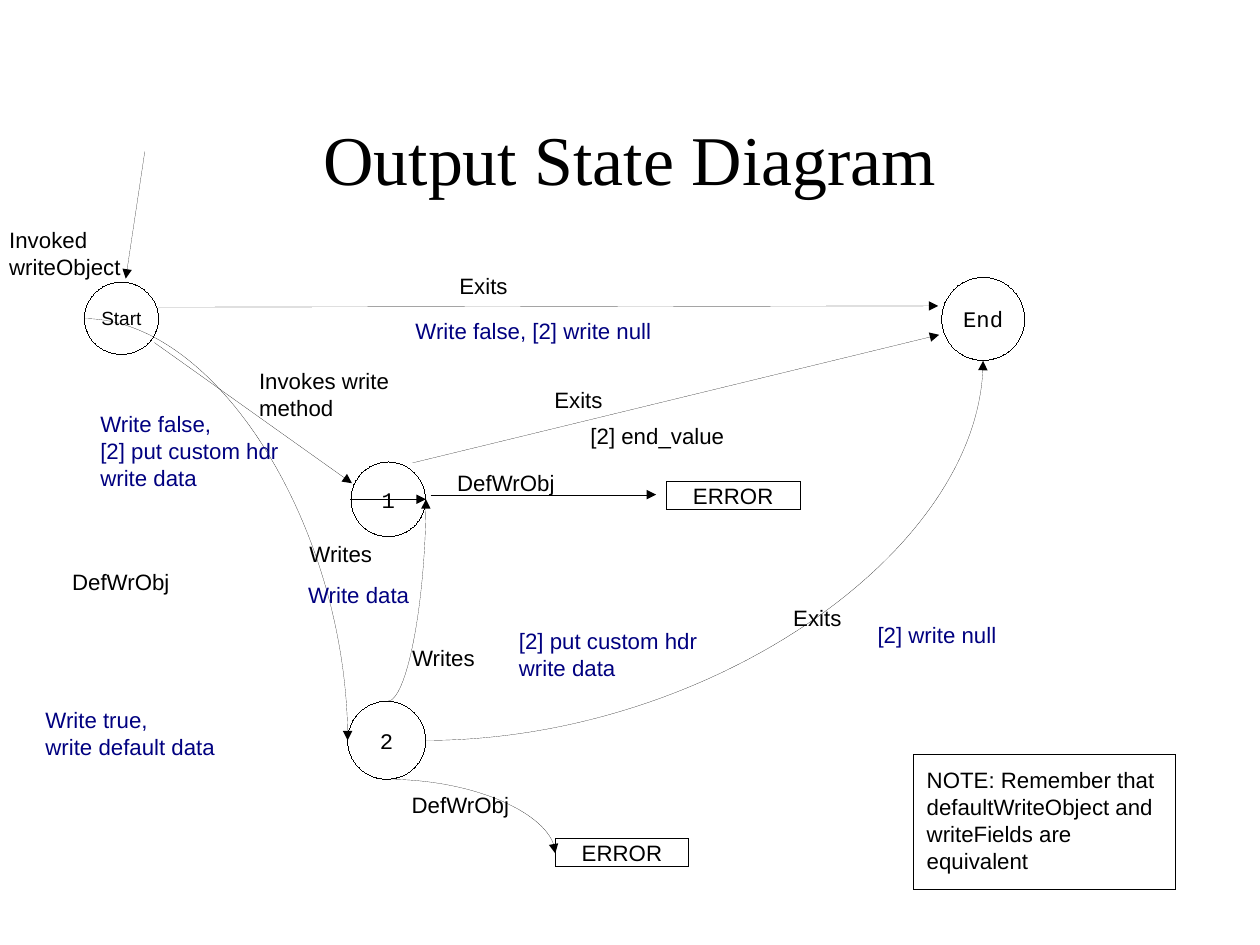
from lxml import etree
from pptx import Presentation
from pptx.dml.color import RGBColor
from pptx.enum.shapes import MSO_CONNECTOR, MSO_SHAPE
from pptx.enum.text import MSO_ANCHOR, MSO_AUTO_SIZE, PP_ALIGN
from pptx.oxml.ns import qn
from pptx.util import Pt

OVAL, RECT = MSO_SHAPE.OVAL, MSO_SHAPE.RECTANGLE
STRAIGHT, CURVE = MSO_CONNECTOR.STRAIGHT, MSO_CONNECTOR.CURVE
LEFT, CENTER = PP_ALIGN.LEFT, PP_ALIGN.CENTER
TOP, MIDDLE = MSO_ANCHOR.TOP, MSO_ANCHOR.MIDDLE
BLACK, NAVY = "000000", "000080"
SANS, MONO, SERIF = "Arial", "Courier New", "Times New Roman"
LINE_H = 17.5

# Content, in points
TITLE = "Output State Diagram"
# text, left, top, width, height, font, size
STATES = [
    ("Start", 53.1, 177.7, 46.8, 45.5, SANS, 12),
    ("End", 593.2, 174.7, 52.3, 52.3, MONO, 14),
    ("1", 221.1, 291, 47, 47, MONO, 14),
    ("2", 219, 441.7, 49.2, 49.2, MONO, 14),
]
# left, top
ERRORS = [(419.8, 303.6), (349.7, 528.5)]
NOTE = "NOTE: Remember that defaultWriteObject and writeFields are equivalent"
# start x, y, end x, y
STRAIGHT_ARROWS = [
    (91.2, 95.6, 79.2, 175.5),
    (100, 193.5, 591, 192.7),
    (97.2, 215.8, 221.7, 304.4),
    (259.8, 291.6, 591.6, 210.9),
    (271.3, 311.6, 413.3, 311.6),
]
CURVED_ARROWS = [
    (221.1, 314.5, 268.3, 314.5),
    (53.1, 200.7, 219, 466.4),
    (244, 441.8, 268.3, 314.5),
    (268.3, 466.4, 619.3, 227.3),
    (244, 490.9, 349.8, 537.6),
]
# left, top, width, colour, lines
LABELS = [
    (5.8, 142.6, 103, BLACK, ["Invoked", "writeObject"]),
    (289.4, 171.2, 135.4, BLACK, ["Exits"]),
    (261.7, 199.8, 193.7, NAVY, ["Write false, [2] write null"]),
    (163.2, 231.4, 92.9, BLACK, ["Invokes write method"]),
    (63.2, 258.6, 126.7, NAVY,
     ["Write false,", "[2] put custom hdr", "write data"]),
    (349.2, 243.3, 69.1, BLACK, ["Exits"]),
    (372, 266.1, 133.9, BLACK, ["[2] end_value"]),
    (288, 295.6, 95, BLACK, ["DefWrObj"]),
    (194.9, 340.3, 66.2, BLACK, ["Writes"]),
    (194.1, 366.2, 66.2, NAVY, ["Write data"]),
    (45.4, 357.8, 111.6, BLACK, ["DefWrObj"]),
    (28.6, 444.8, 114.5, NAVY, ["Write true,", "write default data"]),
    (259.6, 405.8, 56.2, BLACK, ["Writes"]),
    (326.9, 395.4, 126.7, NAVY, ["[2] put custom hdr", "write data"]),
    (499.7, 380.6, 62.6, BLACK, ["Exits"]),
    (552.8, 391.1, 110.9, NAVY, ["[2] write null"]),
    (259.3, 498.7, 92.2, BLACK, ["DefWrObj"]),
    (583.8, 483, 154.1, BLACK, [NOTE]),
]


def rgb(color):
    return RGBColor.from_string(color)


def write(shape, lines, font=SANS, size=14, color=BLACK, align=LEFT,
          anchor=TOP):
    tf = shape.text_frame
    tf.margin_left = tf.margin_right = tf.margin_top = tf.margin_bottom = 0
    tf.auto_size = MSO_AUTO_SIZE.NONE
    tf.word_wrap = True
    tf.vertical_anchor = anchor
    tf.text = "\n".join(lines)
    for p in tf.paragraphs:
        p.alignment = align
        p.font.name, p.font.size = font, Pt(size)
        p.font.color.rgb = rgb(color)


def hairline(line):
    line.color.rgb = rgb(BLACK)
    line.width = Pt(0.01)  # a width of zero would fall back to the theme's


def outline(kind, *box):
    sp = s.shapes.add_shape(kind, *map(Pt, box))
    sp.shadow.inherit = False
    sp.fill.background()
    hairline(sp.line)
    return sp


def arrow(kind, *ends):
    cxn = s.shapes.add_connector(kind, *map(Pt, ends))
    hairline(cxn.line)
    sp_pr = cxn._element.spPr
    etree.SubElement(sp_pr.find(qn("a:ln")), qn("a:tailEnd"), type="triangle")
    etree.SubElement(sp_pr, qn("a:effectLst"))
    if kind == CURVE:  # a quarter turn: leaves sideways, arrives vertically
        sp_pr.find(qn("a:prstGeom")).set("prst", "curvedConnector2")


prs = Presentation()
prs.slide_width, prs.slide_height = Pt(793.7), Pt(595.28)
s = prs.slides.add_slide(prs.slide_layouts[5])

# Title
title = s.shapes.title
title.left, title.top, title.width, title.height = map(
    Pt, (58.2, 49.7, 677.5, 99.4))
write(title, [TITLE], SERIF, 44, align=CENTER, anchor=MIDDLE)

# States, error boxes and note frame
for text, x, y, w, h, font, size in STATES:
    write(outline(OVAL, x, y, w, h), [text], font, size,
          align=CENTER, anchor=MIDDLE)
for x, y in ERRORS:
    write(outline(RECT, x, y, 84.2, LINE_H), ["ERROR"],
          align=CENTER, anchor=MIDDLE)
outline(RECT, 575.4, 475.1, 165, 85)

# Transitions
for ends in STRAIGHT_ARROWS:
    arrow(STRAIGHT, *ends)
for ends in CURVED_ARROWS:
    arrow(CURVE, *ends)

# Labels
for x, y, w, color, lines in LABELS:
    h = LINE_H * (4 if lines == [NOTE] else len(lines))
    write(s.shapes.add_textbox(Pt(x), Pt(y), Pt(w), Pt(h)), lines, color=color)

prs.save("out.pptx")
